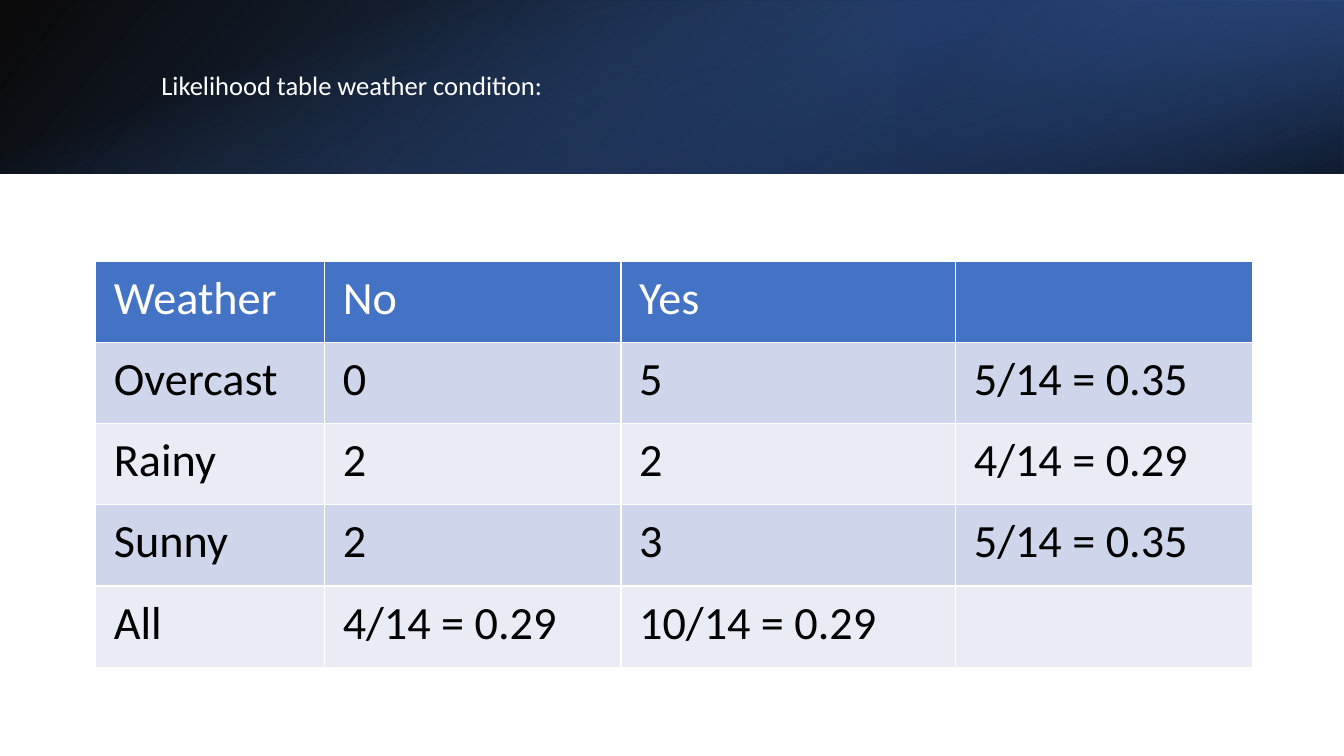
from lxml.etree import SubElement
from pptx import Presentation
from pptx.dml.color import RGBColor
from pptx.enum.shapes import MSO_SHAPE
from pptx.enum.text import MSO_ANCHOR, MSO_AUTO_SIZE, PP_ALIGN
from pptx.oxml.ns import qn
from pptx.util import Inches, Pt

TITLE = "Likelihood table weather condition:"
ROWS = [
    ["Weather", "No", "Yes", ""],
    ["Overcast", "0", "5", "5/14 = 0.35"],
    ["Rainy", "2", "2", "4/14 = 0.29"],
    ["Sunny", "2", "3", "5/14 = 0.35"],
    ["All", "4/14 = 0.29", "10/14 = 0.29", ""],
]
WIDTHS = [2.27, 2.94, 3.32, 2.94]
HEIGHT = 4.03
HEAD, BANDS = "4472C4", ["E9EBF5", "CFD5EA"]
FONT = "Calibri"
GLOWS = [
    {"at": (0, 0, 13.33, 1.72), "turn": 0, "flip": True, "angle": 140,
     "stops": [(0, "000000", 96), (100, "2F5597", 100)]},
    {"at": (8.89, 0, 4.44, 1.72), "turn": 180, "flip": True, "angle": 320,
     "stops": [(19, "203864", 68), (100, "4472C4", 79)]},
    {"at": (5.8, -5.8, 1.72, 13.33), "turn": 90, "flip": False, "angle": 340,
     "stops": [(23, "4472C4", 0), (99, "000000", 74)]},
]
GLOWS[0]["stops"][1] = (100, "2F5597", 100)


def color(code):
    return RGBColor.from_string(code)


def write(para, text, size, code):
    run = para.add_run()
    run.text = text
    font = run.font
    font.name, font.size, font.bold = FONT, Pt(size), False
    font.color.rgb = color(code)


def add_glow(slide, at, turn, flip, angle, stops):
    shape = slide.shapes.add_shape(MSO_SHAPE.RECTANGLE, *map(Inches, at))
    shape.shadow.inherit = False
    shape.line.fill.background()
    shape.rotation = turn
    props = shape.element.spPr
    if flip:
        props.find(qn("a:xfrm")).set("flipH", "1")
    shape.fill.gradient()
    grad = props.find(qn("a:gradFill"))
    for child in list(grad):
        grad.remove(child)
    group = SubElement(grad, qn("a:gsLst"))
    for place, code, alpha in stops:
        stop = SubElement(group, qn("a:gs"), pos=str(place * 1000))
        tint = SubElement(stop, qn("a:srgbClr"), val=code)
        SubElement(tint, qn("a:alpha"), val=str(alpha * 1000))
    SubElement(grad, qn("a:lin"), ang=str(angle * 60000), scaled="0")
    return shape


def add_title(slide, below):
    title = slide.shapes.title
    title.left, title.top = Inches(1.5), Inches(0.38)
    title.width, title.height = Inches(10.98), Inches(0.96)
    below.element.addnext(title.element)
    frame = title.text_frame
    frame.word_wrap = True
    frame.auto_size = MSO_AUTO_SIZE.NONE
    frame.vertical_anchor = MSO_ANCHOR.MIDDLE
    para = frame.paragraphs[0]
    para.alignment = PP_ALIGN.LEFT
    para.line_spacing = 0.9
    write(para, TITLE, 19, "FFFFFF")


def add_grid(slide):
    table = slide.shapes.add_table(
        len(ROWS), len(WIDTHS), Inches(0.95), Inches(2.59),
        Inches(sum(WIDTHS)), Inches(HEIGHT)).table
    for col, width in zip(table.columns, WIDTHS):
        col.width = Inches(width)
    for r, row in enumerate(ROWS):
        table.rows[r].height = Inches(HEIGHT / len(ROWS))
        for c, text in enumerate(row):
            cell = table.cell(r, c)
            cell.fill.solid()
            cell.fill.fore_color.rgb = color(BANDS[r % 2] if r else HEAD)
            cell.margin_left = cell.margin_right = Inches(0.18)
            cell.margin_top = cell.margin_bottom = Inches(0.09)
            if text:
                write(cell.text_frame.paragraphs[0], text, 33,
                      "000000" if r else "FFFFFF")


def main():
    deck = Presentation()
    deck.slide_width, deck.slide_height = Inches(13.33), Inches(7.5)
    slide = deck.slides.add_slide(deck.slide_layouts[5])
    glows = [add_glow(slide, **glow) for glow in GLOWS]
    add_title(slide, glows[-1])
    add_grid(slide)
    deck.save("out.pptx")


if __name__ == "__main__":
    main()
